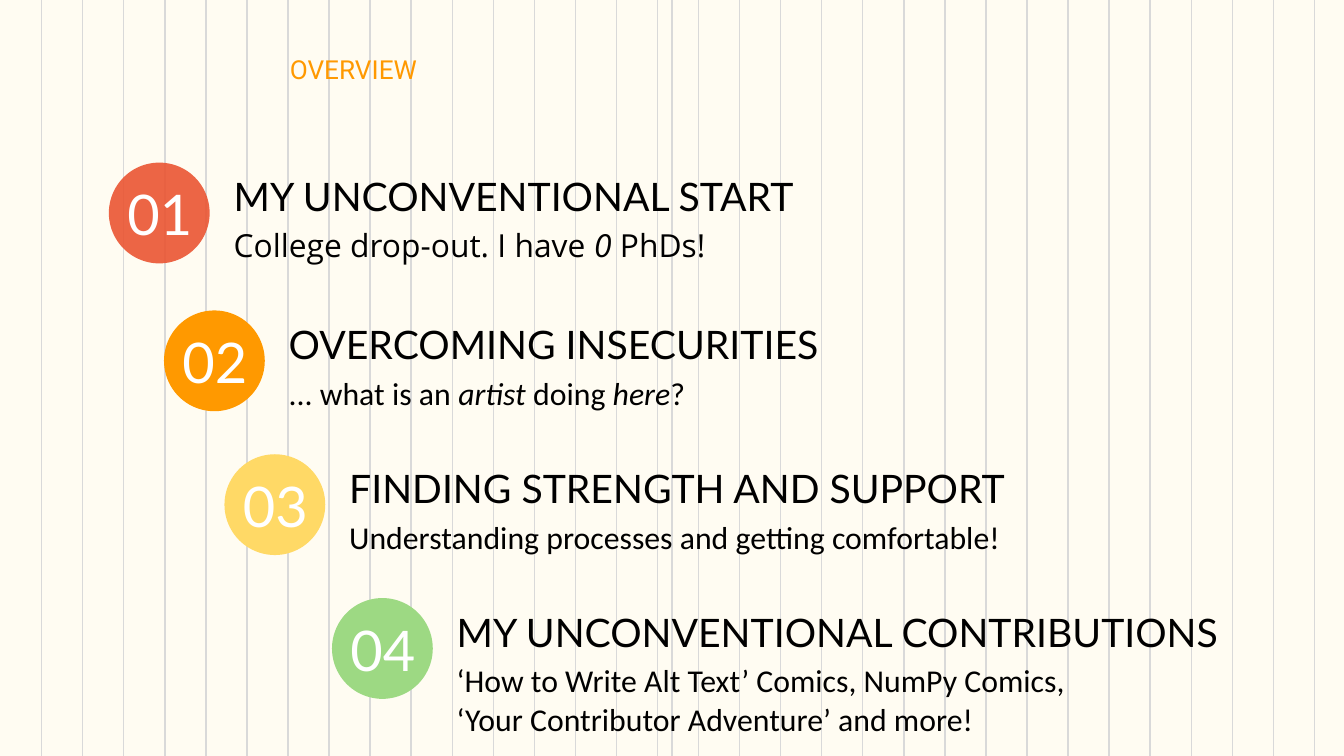
"""Build the overview slide: four numbered topics stepping down a striped page."""
from lxml import etree
from pptx import Presentation
from pptx.dml.color import RGBColor
from pptx.enum.shapes import MSO_CONNECTOR, MSO_SHAPE
from pptx.enum.text import MSO_ANCHOR, PP_ALIGN
from pptx.oxml.ns import qn
from pptx.util import Inches, Pt

STRAIGHT, OVAL = MSO_CONNECTOR.STRAIGHT, MSO_SHAPE.OVAL
TOP, MIDDLE, BOTTOM = MSO_ANCHOR.TOP, MSO_ANCHOR.MIDDLE, MSO_ANCHOR.BOTTOM
LEFT, CENTER = PP_ALIGN.LEFT, PP_ALIGN.CENTER
WIDTH = 10
HEIGHT = WIDTH * 9 / 16
STRIPE_COUNT, FIRST_STRIPE, LAST_STRIPE = 32, 0.31, 9.78
CIRCLE_SIZE = 0.75

# left, top, colour, opacity, title, title width, body font, body width, body lines
TOPICS = [
    (0.81, 1.21, "EA5330", 89, "MY UNCONVENTIONAL START", 5.65,
     "Open Sans", 4.43, ["College drop-out. I have *0* PhDs!"]),
    (1.22, 2.31, "FF9900", 100, "OVERCOMING INSECURITIES", 4.82,
     "Calibri", 4.43, ["... what is an *artist *doing *here*?"]),
    (1.67, 3.38, "FFD966", 100, "FINDING STRENGTH AND SUPPORT", 6.32,
     "Calibri", 6.76, ["Understanding processes and getting comfortable!"]),
    (2.47, 4.45, "9DD983", 100, "MY UNCONVENTIONAL CONTRIBUTIONS", 6.7,
     "Calibri", 6.7, ["‘How to Write Alt Text’ Comics, NumPy Comics,",
                      "‘Your Contributor Adventure’ and more!"]),
]


def color(value):
    return RGBColor.from_string(value)


def add_text(place, lines, font, size, ink, anchor=TOP, align=LEFT, inset=0.1, spacing=None):
    """Add a text box; words between asterisks are italic."""
    box = page.shapes.add_textbox(*(Inches(length) for length in place))
    frame = box.text_frame
    frame.word_wrap = True
    frame.vertical_anchor = anchor
    frame.margin_left = frame.margin_right = Inches(0.1)
    frame.margin_top = frame.margin_bottom = Inches(inset)
    frame.text = "\n".join(lines)
    for para, line in zip(frame.paragraphs, lines):
        para.alignment = align
        para.line_spacing = spacing
        para.text = ""
        for index, words in enumerate(line.split("*")):
            span = para.add_run()
            span.text = words
            span.font.name = font
            span.font.size = Pt(size)
            span.font.italic = index % 2 == 1
            span.font.color.rgb = color(ink)


deck = Presentation()
deck.slide_width, deck.slide_height = Inches(WIDTH), Inches(HEIGHT)
page = deck.slides.add_slide(deck.slide_layouts[6])
page.background.fill.solid()
page.background.fill.fore_color.rgb = color("FFFCF2")

pitch = (LAST_STRIPE - FIRST_STRIPE) / (STRIPE_COUNT - 1)
stripes = [FIRST_STRIPE + pitch * index for index in range(STRIPE_COUNT)]
for x in stripes + [WIDTH / 2]:
    stripe = page.shapes.add_connector(STRAIGHT, Inches(x), 0, Inches(x), Inches(HEIGHT))
    stripe.line.color.rgb = color("D9D9D9")
    stripe.line.width = Pt(0.75)
    etree.SubElement(stripe._element.spPr, qn("a:effectLst"))

for number, topic in enumerate(TOPICS, 1):
    left, top, fill, opacity, title, title_width, body_font, body_width, body = topic
    circle = page.shapes.add_shape(OVAL, Inches(left), Inches(top),
                                   Inches(CIRCLE_SIZE), Inches(CIRCLE_SIZE))
    circle.shadow.inherit = False
    circle.line.fill.background()
    circle.fill.solid()
    circle.fill.fore_color.rgb = color(fill)
    if opacity < 100:
        tint = circle._element.spPr.find(qn("a:solidFill"))[0]
        etree.SubElement(tint, qn("a:alpha"), val=str(opacity * 1000))
    add_text((left - 0.05, top + 0.1, 0.86, 0.56), [f"{number:02}"], "Lato", 30, "FFFFFF",
             anchor=MIDDLE, align=CENTER)
    add_text((left + 0.83, top + 0.37, body_width, 0.36), body, body_font, 17, "000000")
    add_text((left + 0.83, top - 0.03, title_width, 0.56), [title], "Lato", 21, "000000",
             anchor=BOTTOM, spacing=0.9)

add_text((0.3, 0.35, 4.66, 0.68), ["OVERVIEW"], "Roboto", 14, "FF9900",
         align=CENTER, inset=0.05)

deck.save("out.pptx")
